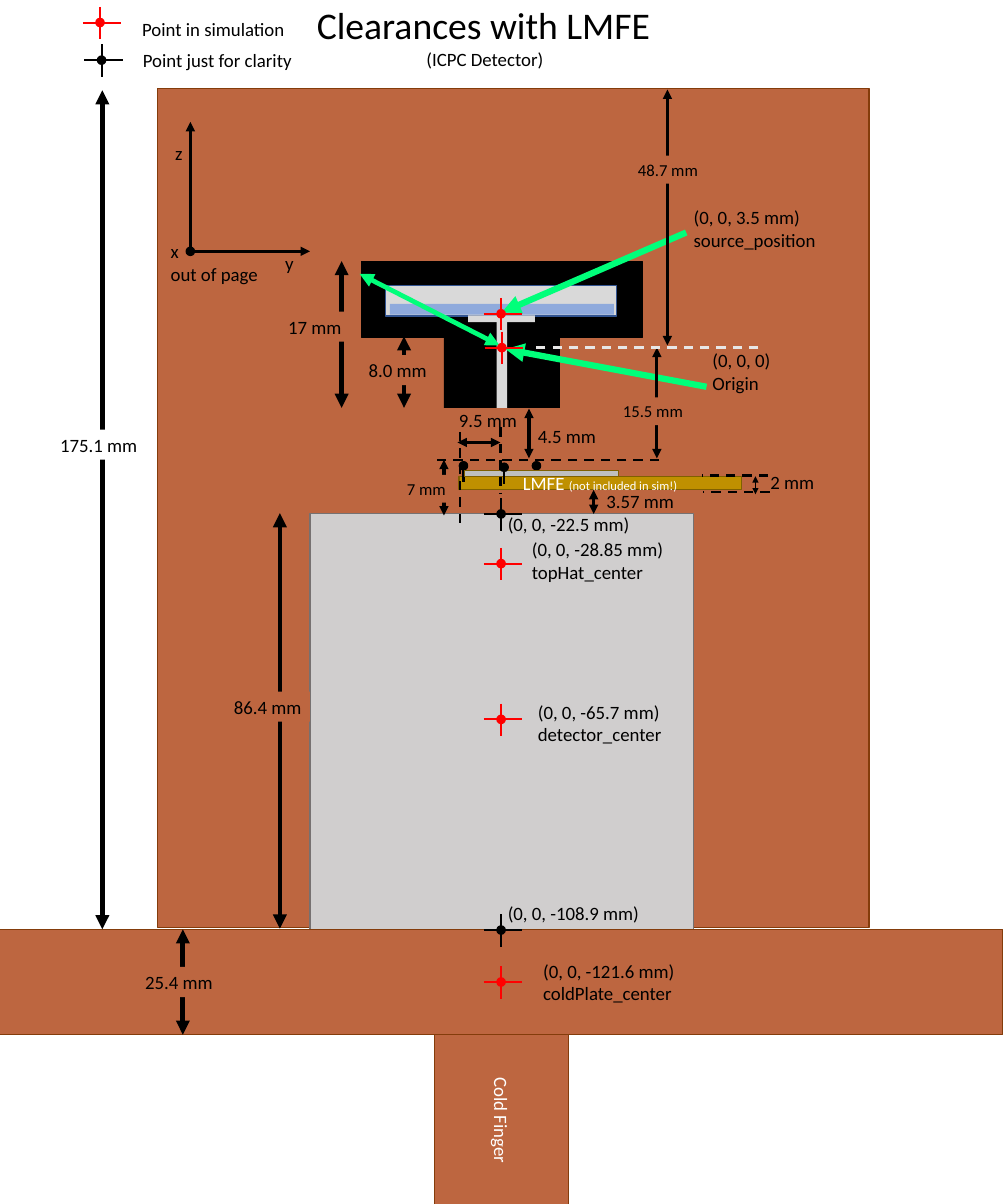
from lxml import etree
from pptx import Presentation
from pptx.dml.color import RGBColor
from pptx.enum.dml import MSO_LINE
from pptx.enum.shapes import MSO_CONNECTOR, MSO_SHAPE
from pptx.enum.text import MSO_ANCHOR, MSO_AUTO_SIZE, PP_ALIGN
from pptx.oxml.ns import qn
from pptx.util import Pt

SCALE = 9144
FONT = "Calibri"
STRAIGHT = MSO_CONNECTOR.STRAIGHT
RECTANGLE, OVAL = MSO_SHAPE.RECTANGLE, MSO_SHAPE.OVAL
MIDDLE, TOP = MSO_ANCHOR.MIDDLE, MSO_ANCHOR.TOP
LEFT, CENTER = PP_ALIGN.LEFT, PP_ALIGN.CENTER
FIT_TEXT, NO_FIT = MSO_AUTO_SIZE.SHAPE_TO_FIT_TEXT, MSO_AUTO_SIZE.NONE
DASH = MSO_LINE.DASH
COLORS = {
    "black": "000000", "white": "FFFFFF", "red": "FF0000", "green": "00FF7A",
    "copper": "BD6640", "copper edge": "843C0B", "detector": "D0CECE",
    "detector edge": "767171", "source": "D9D9D9", "source edge": "325491",
    "foil": "8FAADC", "board": "BF9000", "board edge": "806000",
    "chip": "BFBFBF", "pale": "E7E6E6",
}

HOUSING = [
    (552, 1400, 229, 178, "copper", "copper edge", 90),
    (209, 117, 946, 1115, "copper", "copper edge", 0),
    (412, 682, 510, 553, "detector", "detector edge", 0),
    (0, 1235, 1333, 140, "copper", "copper edge", 0),
    (480, 348, 374, 100, "black", "black", 0),
    (590, 442, 154, 100, "black", None, 0),
    (513, 380, 307, 40, "source", "source edge", 0),
    (622, 419, 89, 9, "source", None, 0),
    (608, 476, 118, 14, "source", None, 90),
    (518, 404, 298, 14, "foil", None, 0),
]
POINTERS = [
    (912, 309, 667, 415, 6, "tail"),
    (939, 514, 672, 464, 6, "tail"),
    (664, 459, 478, 364, 4.5, "both"),
]
HEIGHTS = [
    (136, 120, 1235, 4.5), (372, 682, 1234, 4.5), (243, 1235, 1375, 4.5),
    (454, 347, 542, 4.5), (537, 447, 542, 4.5), (590, 611, 685, 3),
    (789, 651, 683, 3), (873, 462, 609, 3), (1004, 633, 657, 1.5),
    (887, 119, 459, 3), (703, 543, 609, 3),
]
GUIDES = [
    (876, 611, 576, 611, "black"), (1008, 462, 708, 462, "pale"),
    (1021, 632, 933, 632, "black"), (1023, 654, 934, 654, "black"),
    (611, 574, 611, 704, "black"), (665, 568, 665, 657, "black"),
]
TARGETS = [
    (666, 956, "red"), (666, 417, "red"), (666, 1305, "red"),
    (666, 683, "black"), (133, 30, "red"), (135, 80, "black"),
    (666, 1236, "black"), (666, 749, "red"), (667, 462, "red"),
]
LABELS = [
    (70, 571, 124, 40, "175.1 mm", 18, "white", False),
    (301, 919, 111, 40, "86.4 mm", 18, "copper", False),
    (183, 1285, 111, 40, "25.4 mm", 18, "copper", False),
    (480, 472, 98, 40, "8.0 mm", 18, "copper", True),
    (373, 414, 98, 40, "17 mm", 18, "copper", True),
    (531, 631, 72, 37, "7 mm", 16, "copper", False),
    (818, 528, 101, 37, "15.5 mm", 16, "copper", False),
    (838, 207, 101, 37, "48.7 mm", 16, "copper", True),
    (796, 646, 111, 40, "3.57 mm", 18, None, False),
    (1014, 621, 79, 40, "2 mm", 18, None, False),
    (600, 538, 110, 40, "9.5 mm", 18, None, True),
    (705, 559, 98, 40, "4.5 mm", 18, None, False),
    (937, 459, 98, 71, "(0, 0, 0)\nOrigin", 18, None, False),
    (912, 269, 184, 71, "(0, 0, 3.5 mm)\nsource_position", 18, None, False),
    (665, 677, 184, 40, "(0, 0, -22.5 mm)", 18, None, False),
    (697, 710, 197, 71, "(0, 0, -28.85 mm)\ntopHat_center", 18, None, False),
    (705, 926, 186, 71, "(0, 0, -65.7 mm)\ndetector_center", 18, None, False),
    (665, 1193, 197, 40, "(0, 0, -108.9 mm)", 18, None, False),
    (712, 1270, 197, 71, "(0, 0, -121.6 mm)\ncoldPlate_center", 18, None, False),
    (179, 18, 212, 40, "Point in simulation", 18, None, False),
    (180, 60, 220, 40, "Point just for clarity", 18, None, False),
    (369, 330, 32, 40, "y", 18, None, False),
    (223, 184, 30, 40, "z", 18, None, False),
    (217, 314, 138, 71, "x\nout of page", 18, None, False),
]


def px(*lengths):
    """Turn px lengths into EMU."""
    return [length * SCALE for length in lengths]


def rgb(name):
    """Look up a colour by name."""
    return RGBColor.from_string(COLORS[name])


def set_format(target, values):
    """Set each attribute in a dict of format values."""
    for name, value in values.items():
        setattr(target, name, value)


def style_span(span, size, color="black"):
    """Set the font of one span."""
    set_format(span.font, {"name": FONT, "size": Pt(size), "bold": False})
    span.font.color.rgb = rgb(color)


def add_span(para, text, size, color):
    """Add one styled span to a paragraph."""
    span = para.add_run()
    span.text = text
    style_span(span, size, color)


def add_block(parent, frame, fill, edge=None, kind=RECTANGLE, weight=1, turn=0):
    """Add a filled shape with an optional edge."""
    block = parent.shapes.add_shape(kind, *px(*frame))
    block.shadow.inherit = False
    block.rotation = turn
    block.fill.solid()
    block.fill.fore_color.rgb = rgb(fill)
    if edge:
        block.line.color.rgb = rgb(edge)
        block.line.width = Pt(weight)
    else:
        block.line.fill.background()
    return block


def add_line(parent, ends, color, weight, arrows=None, dash=None):
    """Add a straight line with optional arrowheads and dashes."""
    line = parent.shapes.add_connector(STRAIGHT, *px(*ends))
    line.line.color.rgb = rgb(color)
    set_format(line.line, {"width": Pt(weight), "dash_style": dash})
    properties = line._element.spPr
    outline = properties.find(qn("a:ln"))
    for end in ("head", "tail"):
        if arrows in (end, "both"):
            etree.SubElement(outline, qn(f"a:{end}End"), type="triangle")
    etree.SubElement(properties, qn("a:effectLst"))


def add_dot(parent, x, y, color):
    """Add a small round dot centred on a point."""
    add_block(parent, (x - 5, y - 5, 10, 10), color, color, OVAL, 2)


def add_target(page, x, y, color):
    """Add a grouped dot with crosshairs."""
    group = page.shapes.add_group_shape()
    add_dot(group, x, y, color)
    add_line(group, (x, y - 21, x, y + 22), color, 2)
    add_line(group, (x - 23, y, x + 28, y), color, 2)


def add_pin(page, x, y):
    """Add a grouped dot with a short stem below."""
    group = page.shapes.add_group_shape()
    add_dot(group, x, y, "black")
    add_line(group, (x, y - 5, x, y + 22), "black", 2)


def add_label(page, frame, text, size, fill, wrap):
    """Add a text box with an optional backing colour."""
    box = page.shapes.add_textbox(*px(*frame))
    set_format(box.text_frame, {"word_wrap": wrap, "auto_size": FIT_TEXT})
    if fill:
        box.fill.solid()
        box.fill.fore_color.rgb = rgb(fill)
    para = box.text_frame.paragraphs[0]
    para.text = text
    for span in para.runs:
        style_span(span, size)


def add_caption(block, spans):
    """Write white centred spans inside a shape."""
    set_format(block.text_frame, {"word_wrap": True, "vertical_anchor": MIDDLE})
    para = block.text_frame.paragraphs[0]
    para.alignment = CENTER
    for text, size in spans:
        add_span(para, text, size, "white")


def fill_title(page):
    """Place and write the title with its subtitle."""
    title = page.shapes.title
    names = ("left", "top", "width", "height")
    set_format(title, dict(zip(names, px(411, -2, 467, 101))))
    frame = title.text_frame
    set_format(frame, {"word_wrap": False, "auto_size": NO_FIT, "vertical_anchor": TOP})
    heading, subtitle = frame.paragraphs[0], frame.add_paragraph()
    heading.alignment, subtitle.alignment = LEFT, CENTER
    add_span(heading, "Clearances with LMFE", 36, "black")
    add_span(subtitle, "(ICPC Detector)", 18, "black")


def add_board(page):
    """Add the front-end board with its chip and pins."""
    add_pin(page, 713, 619)
    board = add_block(page, (610, 633, 375, 18), "board", "board edge")
    add_caption(board, [("LMFE ", 18), ("(not included in sim!)", 12)])
    add_pin(page, 616, 619)
    add_block(page, (617, 625, 205, 8), "chip", "board edge")
    add_pin(page, 670, 621)


def add_axes(page):
    """Add the z and y axes with x pointing out of the page."""
    add_line(page, (253, 334, 253, 162), "black", 3, "tail")
    add_line(page, (250, 334, 412, 334), "black", 3, "tail")
    add_dot(page, 253, 334, "black")


def main():
    """Build the clearance diagram and save it."""
    deck = Presentation()
    deck.slide_width, deck.slide_height = px(1333, 1600)
    page = deck.slides.add_slide(deck.slide_layouts[5])
    fill_title(page)
    blocks = [add_block(page, frame, fill, edge, turn=turn)
              for *frame, fill, edge, turn in HOUSING]
    add_caption(blocks[0], [("Cold Finger", 18)])
    for *ends, weight, arrows in POINTERS:
        add_line(page, ends, "green", weight, arrows)
    add_board(page)
    for x, top, bottom, weight in HEIGHTS:
        add_line(page, (x, top, x, bottom), "black", weight, "both")
    add_line(page, (665, 588, 608, 588), "black", 3, "both")
    for *ends, color in GUIDES:
        add_line(page, ends, color, 2.25, dash=DASH)
    add_axes(page)
    for target in TARGETS:
        add_target(page, *target)
    for *frame, text, size, fill, wrap in LABELS:
        add_label(page, frame, text, size, fill, wrap)
    deck.save("out.pptx")


if __name__ == "__main__":
    main()
